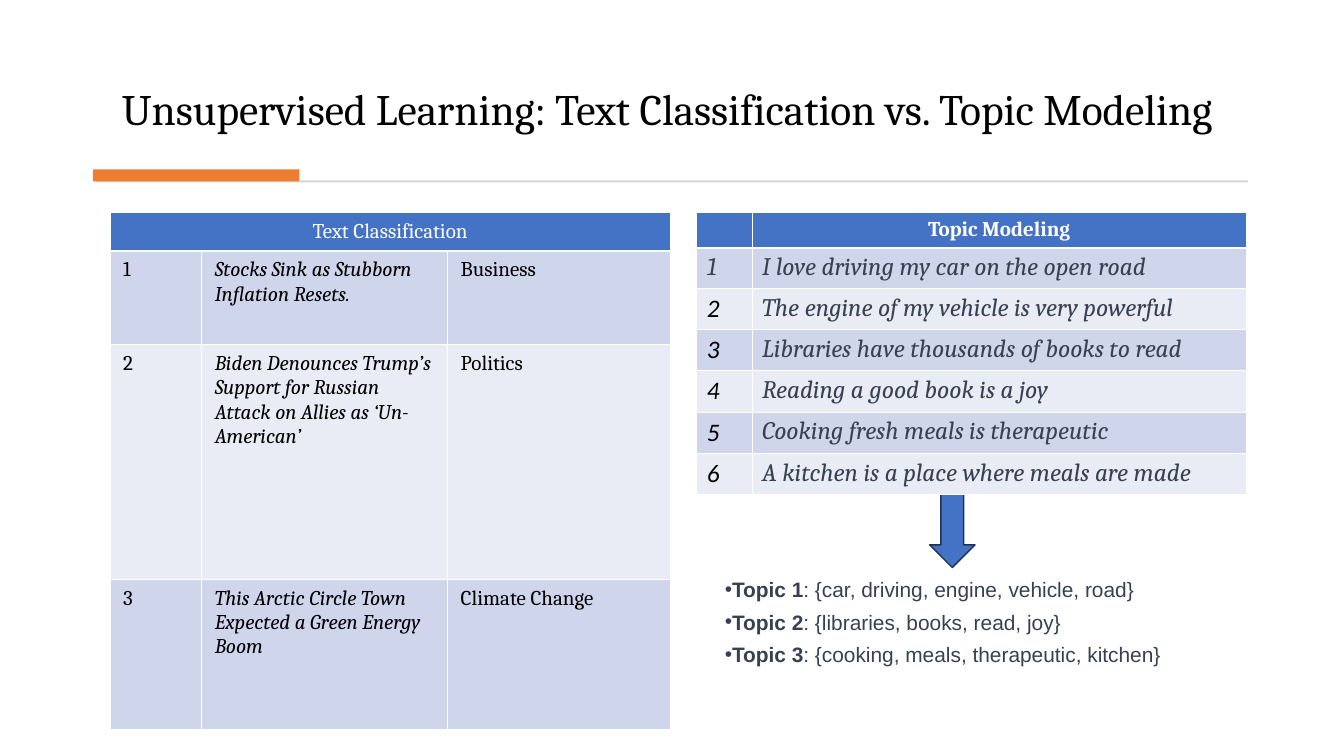
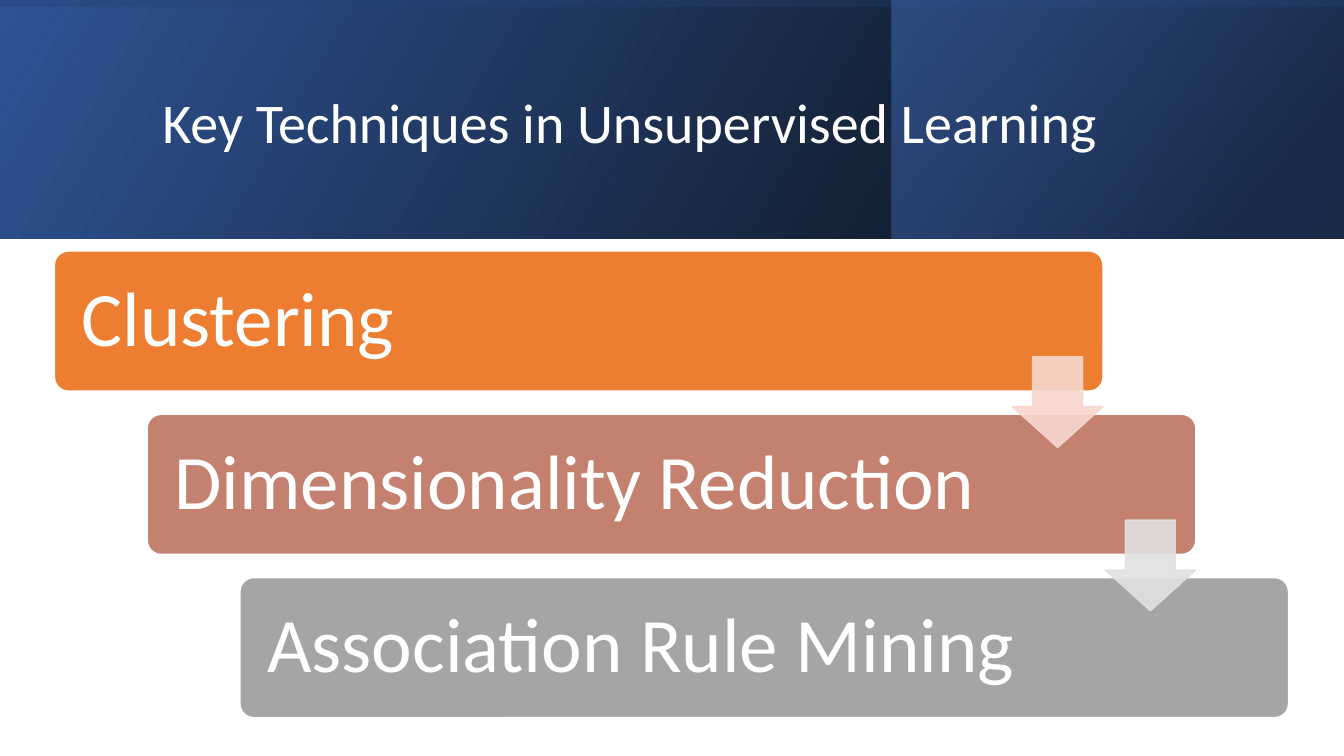
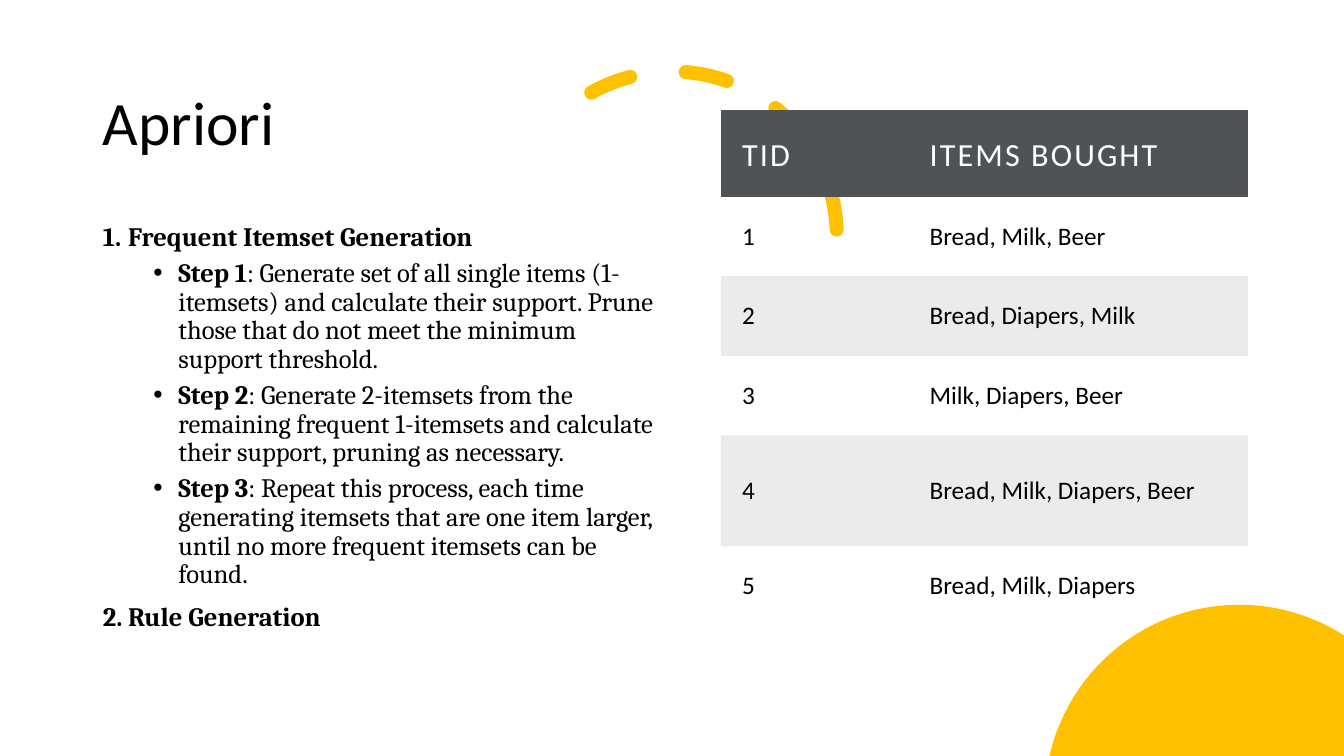
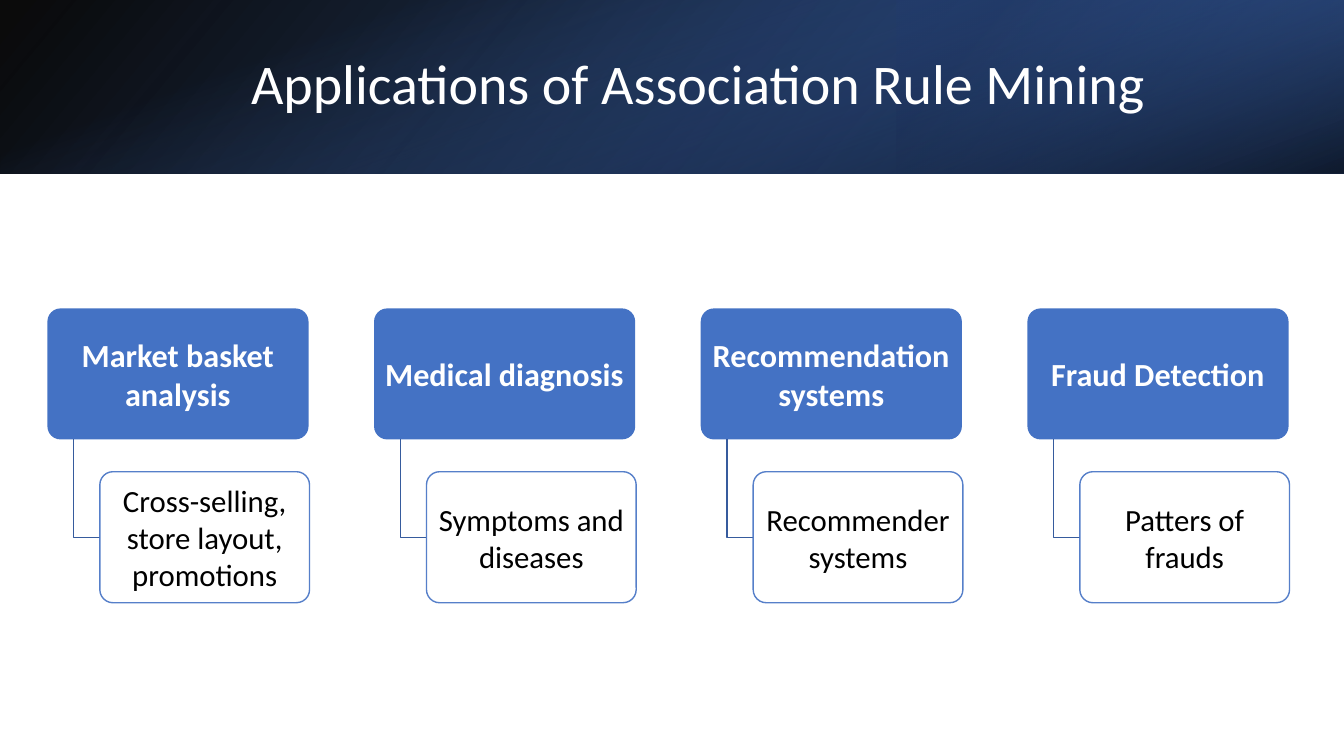
import math

import lxml.etree
import pptx
import pptx.dml.color
import pptx.enum.dml
import pptx.enum.shapes
import pptx.enum.text
import pptx.oxml.ns
import pptx.util

Inches, Pt = pptx.util.Inches, pptx.util.Pt
SHAPE = pptx.enum.shapes.MSO_SHAPE
ALIGN = pptx.enum.text.PP_ALIGN
ANCHOR = pptx.enum.text.MSO_ANCHOR
qn = pptx.oxml.ns.qn

C = {
    "black": "000000", "white": "FFFFFF", "slate": "374151", "rule": "D5D5D5",
    "blue": "4472C4", "deep": "2F5597", "navy": "203864", "edge": "1E3256",
    "elbow": "365B9D", "band1": "CFD5EA", "band2": "E9EBF5",
    "orange": "ED7D31", "clay": "C48170", "gray": "A5A5A5",
    "pink": "F8D7CE", "silver": "E1E1E1", "gold": "FFC000", "header": "505356",
}
SERIF, SANS, ARIAL = "Cambria", "Calibri", "Arial"
NO_STYLE = "{2D5ABB26-0587-4C30-8999-92F81FD0307C}"


def rgb(name):
    return pptx.dml.color.RGBColor.from_string(C[name])


def child(parent, tag, **attrs):
    return lxml.etree.SubElement(parent, qn(tag), attrs)


class Deck:
    """Holds the style, the presentation and the current slide."""

    def __init__(self):
        self.prs = pptx.Presentation()
        self.prs.slide_width, self.prs.slide_height = Inches(13.33), Inches(7.5)

    def new_slide(self, layout=5):
        self.slide = self.prs.slides.add_slide(self.prs.slide_layouts[layout])
        self.shapes = self.slide.shapes

    # Paint and text
    def paint(self, fill, color, alpha=100):
        if color is None:
            fill.background()
            return
        fill.solid()
        fill.fore_color.rgb = rgb(color)
        if alpha < 100:
            clr = fill._xPr.find(qn("a:solidFill") + "/" + qn("a:srgbClr"))
            child(clr, "a:alpha", val=str(alpha * 1000))

    def outline(self, sp, color, width=1, alpha=100):
        self.paint(sp.line.fill, color, alpha)
        if color:
            sp.line.width = Pt(width)

    def font(self, p, size, name, color, bold=None, italic=None):
        f = p.font
        f.size, f.name, f.bold, f.italic = Pt(size), name, bold, italic
        f.color.rgb = rgb(color)

    def frame(self, tf, anchor=ANCHOR.MIDDLE, inset=None):
        tf.word_wrap = True
        tf.auto_size = pptx.enum.text.MSO_AUTO_SIZE.NONE
        tf.vertical_anchor = anchor
        if inset:
            tf.margin_left = tf.margin_right = Inches(inset[0])
            tf.margin_top = tf.margin_bottom = Inches(inset[1])

    def bullet(self, p, font, char=None, left=0, hang=0):
        pPr = p._p.get_or_add_pPr()
        pPr.set("marL", str(Inches(left)))
        pPr.set("indent", str(-Inches(hang)))
        child(pPr, "a:buFont", typeface=font)
        if char:
            child(pPr, "a:buChar", char=char)
        else:
            child(pPr, "a:buAutoNum", type="arabicPeriod")

    def lead(self, p, head, rest=""):
        """A bold lead-in followed by plain text."""
        for text, bold in ((head, True), (rest, False)):
            if text:
                r = p.add_run()
                r.text, r.font.bold = text, bold

    # Placeholders
    def place(self, sp, box):
        sp.left, sp.top, sp.width, sp.height = map(Inches, box)
        self.shapes._spTree.append(sp._element)  # on top of what is drawn so far

    def title(self, text, box, size, color="black", name=SANS,
              align=ALIGN.LEFT, anchor=ANCHOR.MIDDLE):
        sp = self.shapes.title
        self.place(sp, box)
        self.frame(sp.text_frame, anchor)
        p = sp.text_frame.paragraphs[0]
        p.text, p.alignment, p.line_spacing = text, align, 0.9
        self.font(p, size, name, color)

    def outline_list(self, items, box, size):
        sp = self.slide.placeholders[1]
        self.place(sp, box)
        tf = sp.text_frame
        self.frame(tf, ANCHOR.TOP)
        for i, (level, head, rest) in enumerate(items):
            p = tf.add_paragraph() if i else tf.paragraphs[0]
            p.level, p.line_spacing = level, 0.9
            p.space_before = Pt((5 if level else 10) if i else 0)
            if level:
                self.bullet(p, ARIAL, "•", 0.75, 0.25)
            else:
                self.bullet(p, SERIF, left=0.25, hang=0.25)
            self.font(p, size, SERIF, "black")
            self.lead(p, head, rest)

    # Shapes
    def shape(self, kind, box, fill, line=None, width=1, alpha=100, adj=()):
        sp = self.shapes.add_shape(kind, *map(Inches, box))
        sp.shadow.inherit = False
        for i, value in enumerate(adj):
            sp.adjustments[i] = value
        self.paint(sp.fill, fill, alpha)
        self.outline(sp, line, width, alpha)
        return sp

    def card(self, text, box, fill, size, color="white", line=None, alpha=100,
             bold=False, align=ALIGN.CENTER, inset=(0.05, 0.03), spacing=1.0):
        sp = self.shape(SHAPE.ROUNDED_RECTANGLE, box, fill, line, 1, alpha, [0.1])
        self.frame(sp.text_frame, inset=inset)
        p = sp.text_frame.paragraphs[0]
        p.text, p.alignment, p.line_spacing = text, align, spacing
        self.font(p, size, SANS, color, bold)

    def gradient(self, box, stops, angle, rotation=0, flip=True):
        """A band with stops of (position, colour, alpha), angle clockwise."""
        sp = self.shape(SHAPE.RECTANGLE, box, None)
        sp.rotation = rotation
        if flip:
            sp._element.spPr.get_or_add_xfrm().set("flipH", "1")
        sp.fill.gradient()
        sp.fill.gradient_angle = 360 - angle
        for stop, (position, color, _) in zip(sp.fill.gradient_stops, stops):
            stop.position, stop.color.rgb = position / 100, rgb(color)
        colors = list(sp._element.spPr.iter(qn("a:srgbClr")))
        for clr, (_, _, alpha) in zip(colors, stops):
            child(clr, "a:alpha", val=str(alpha * 1000))

    def banner(self, height, right, angles, shade, right_alpha, rotations, flip):
        """Three gradients stacked across the top of the slide."""
        self.gradient((0, 0, 13.33, height),
                      [(0, "black", 96), (100, "deep", 100)], angles[0])
        self.gradient((right, 0, 13.33 - right, height),
                      [(19, "navy", 68), (100, "blue", right_alpha)], angles[1], rotations[0])
        offset = (13.33 - height) / 2
        self.gradient((offset, -offset, height, 13.33), shade, angles[2], rotations[1], flip)

    def polygon(self, points, fill=None, line=None, close=True):
        pts = [(Inches(x), Inches(y)) for x, y in points]
        fb = self.shapes.build_freeform(*pts[0])
        fb.add_line_segments(pts[1:], close=close)
        sp = fb.convert_to_shape()
        sp.shadow.inherit = False
        self.paint(sp.fill, fill)
        self.outline(sp, line)

    # Tables
    def table(self, box, cols, rows):
        tbl = self.shapes.add_table(len(rows), len(cols), *map(Inches, box)).table
        tbl._tbl.tblPr.find(qn("a:tableStyleId")).text = NO_STYLE
        tbl.first_row = tbl.horz_banding = False
        for col, width in zip(tbl.columns, cols):
            col.width = Inches(width)
        for row, height in zip(tbl.rows, rows):
            row.height = Inches(height)
        return tbl

    def cell(self, cell, text, size, fill, name=SERIF, color="black", alpha=100,
             inset=(0.1, 0.05), anchor=ANCHOR.TOP, align=ALIGN.LEFT,
             bold=False, italic=False, spacing=0):
        self.paint(cell.fill, fill, alpha)
        cell.vertical_anchor = anchor
        cell.margin_left = cell.margin_right = Inches(inset[0])
        cell.margin_top = cell.margin_bottom = Inches(inset[1] if text else 0)
        p = cell.text_frame.paragraphs[0]
        p.text, p.alignment = text, align
        self.font(p, size, name, color, bold, italic)
        if spacing:
            p.font._rPr.set("spc", str(int(spacing * 100)))

    def borders(self, cell):
        tcPr = cell._tc.get_or_add_tcPr()
        for i, side in enumerate("LRTB"):
            ln = child(tcPr, "a:ln" + side, w=str(Pt(1)))
            child(child(ln, "a:solidFill"), "a:srgbClr", val=C["white"])
            tcPr.insert(i, ln)


def text_vs_topics(d):
    d.new_slide()
    d.title("Unsupervised Learning: Text Classification vs. Topic Modeling",
            (0.87, 0.28, 11.49, 1.11), 31, name=SERIF,
            align=ALIGN.CENTER, anchor=ANCHOR.BOTTOM)
    d.shape(SHAPE.RECTANGLE, (0.95, 1.79, 11.43, 0.02), "rule")
    d.shape(SHAPE.RECTANGLE, (0.92, 1.68, 2.05, 0.12), "orange")

    # Topics found
    tf = d.shapes.add_textbox(*map(Inches, (7.09, 5.67, 5.16, 1.02))).text_frame
    d.frame(tf, ANCHOR.TOP)
    topics = ["car, driving, engine, vehicle, road", "libraries, books, read, joy",
              "cooking, meals, therapeutic, kitchen"]
    for i, words in enumerate(topics):
        p = tf.add_paragraph() if i else tf.paragraphs[0]
        p.space_after = Pt(5.5)
        d.bullet(p, ARIAL, "•")
        d.font(p, 14.9, ARIAL, "slate")
        d.lead(p, f"Topic {i + 1}", ": {" + words + "}")
    d.shape(SHAPE.DOWN_ARROW, (9.22, 4.74, 0.45, 0.89), "blue", "edge")

    # Text classification
    headlines = [
        ("Stocks Sink as Stubborn Inflation Resets.", "Business"),
        ("Biden Denounces Trump’s Support for Russian Attack on Allies as ‘Un-American’",
         "Politics"),
        ("This Arctic Circle Town Expected a Green Energy Boom", "Climate Change"),
    ]
    tbl = d.table((1.09, 2.11, 5.56, 5.12), [0.91, 2.44, 2.21], [0.37, 0.93, 2.33, 1.49])
    tbl.cell(0, 0).merge(tbl.cell(0, 2))
    inset = (0.13, 0.07)
    d.cell(tbl.cell(0, 0), "Text Classification", 15, "blue", color="white",
           inset=inset, align=ALIGN.CENTER)
    d.borders(tbl.cell(0, 0))
    for r, (headline, label) in enumerate(headlines, 1):
        for c, text in enumerate((str(r), headline, label)):
            d.cell(tbl.cell(r, c), text, 15, "band1" if r % 2 else "band2",
                   inset=inset, italic=c == 1)
            d.borders(tbl.cell(r, c))

    # Topic modeling
    sentences = [
        "I love driving my car on the open road",
        "The engine of my vehicle is very powerful",
        "Libraries have thousands of books to read",
        "Reading a good book is a joy",
        "Cooking fresh meals is therapeutic",
        "A kitchen is a place where meals are made",
    ]
    tbl = d.table((6.91, 2.11, 5.45, 2.8), [0.55, 4.9], [0.35, 0.4] + [0.41] * 5)
    for c, text in enumerate(("", "Topic Modeling")):
        d.cell(tbl.cell(0, c), text, 15, "blue", color="white",
               align=ALIGN.CENTER, bold=True)
        d.borders(tbl.cell(0, c))
    for r, sentence in enumerate(sentences, 1):
        for c, text in enumerate((str(r), sentence)):
            plain = c == 0 and r > 1
            d.cell(tbl.cell(r, c), text, 18, "band1" if r % 2 else "band2",
                   name=SANS if plain else SERIF,
                   color="black" if plain else "slate", italic=True)
            d.borders(tbl.cell(r, c))


def key_techniques(d):
    d.new_slide()
    d.banner(2.37, 8.84, (330, 320, 350), [(23, "deep", 16), (99, "black", 45)],
             48, (0, 270), True)
    d.title("Key Techniques in Unsupervised Learning", (1.51, 0.38, 10.63, 1.72), 40, "white")

    # Staircase of techniques, then the arrows between them
    dx, dy = 0.92, 1.62
    steps = [("Clustering", "orange"), ("Dimensionality Reduction", "clay"),
             ("Association Rule Mining", "gray")]
    for i, (text, fill) in enumerate(steps):
        d.card(text, (0.54 + i * dx, 2.49 + i * dy, 10.4, 1.39), fill, 55, line="white",
               align=ALIGN.LEFT, inset=(0.23, 0.23), spacing=0.9)
    for i, fill in enumerate(("pink", "silver")):
        d.shape(SHAPE.DOWN_ARROW, (10.04 + i * dx, 3.54 + i * dy, 0.9, 0.9),
                fill, fill, alpha=90, adj=(0.55, 0.45))


def apriori(d):
    d.new_slide(layout=1)

    # Corner disc, cut at the slide edges
    cx, cy, radius = 12.29, 7.93, 1.93
    start = math.pi - math.asin((cy - 7.5) / radius)
    end = math.acos((13.33 - cx) / radius)
    angles = [start + (end - start) * i / 60 for i in range(61)]
    rim = [(cx + radius * math.cos(a), cy - radius * math.sin(a)) for a in angles]
    d.polygon(rim + [(13.33, 7.5)], "gold")

    # Dashed arc
    arc = d.shape(SHAPE.ARC, (5.03, 0.71, 3.27, 3.27), None, "gold", 10, adj=(144.418, 0))
    arc.line.dash_style = pptx.enum.dml.MSO_LINE.DASH
    arc.line.fill._xPr.set("cap", "rnd")

    d.title("Apriori", (0.92, 0.52, 5.75, 1.45), 44)
    d.outline_list([
        (0, "Frequent Itemset Generation", ""),
        (1, "Step 1", ": Generate set of all single items (1-itemsets) and calculate their "
                      "support. Prune those that do not meet the minimum support threshold."),
        (1, "Step 2", ": Generate 2-itemsets from the remaining frequent 1-itemsets and "
                      "calculate their support, pruning as necessary."),
        (1, "Step 3", ": Repeat this process, each time generating itemsets that are one item "
                      "larger, until no more frequent itemsets can be found."),
        (0, "Rule Generation", ""),
    ], (0.92, 2.17, 5.75, 4.58), 19)

    # Transactions
    baskets = ["Bread, Milk, Beer", "Bread, Diapers, Milk", "Milk, Diapers, Beer",
               "Bread, Milk, Diapers, Beer", "Bread, Milk, Diapers"]
    tbl = d.table((7.15, 1.09, 5.23, 5.12), [1.86, 3.37], [0.86, 0.79, 0.79, 0.79, 1.1, 0.79])
    inset = (0.21, 0.21)
    for c, text in enumerate(("TID", "ITEMS BOUGHT")):
        d.cell(tbl.cell(0, c), text, 23, "header", SANS, "white", inset=inset,
               anchor=ANCHOR.BOTTOM, spacing=1.5)
    for r, basket in enumerate(baskets, 1):
        for c, text in enumerate((str(r), basket)):
            d.cell(tbl.cell(r, c), text, 18, None if r % 2 else "black", SANS, alpha=8,
                   inset=inset, anchor=ANCHOR.MIDDLE)


def applications(d):
    d.new_slide()
    d.banner(1.72, 8.89, (140, 320, 340), [(23, "blue", 0), (99, "black", 74)],
             79, (180, 90), False)
    d.title("Applications of Association Rule Mining", (1.43, 0.38, 10.98, 0.96), 40, "white",
            align=ALIGN.CENTER)

    # Each application with its example hanging below
    pairs = [("Market basket analysis", "Cross-selling, store layout, promotions"),
             ("Medical diagnosis", "Symptoms and diseases"),
             ("Recommendation systems", "Recommender systems"),
             ("Fraud Detection", "Patters of frauds")]
    for i, (field, example) in enumerate(pairs):
        x = 0.47 + i * 3.24
        d.card(field, (x, 3.06, 2.59, 1.3), "blue", 23, bold=True)
        d.polygon([(x + 0.26, 4.36), (x + 0.26, 5.33), (x + 0.52, 5.33)],
                  line="elbow", close=False)
        d.card(example, (x + 0.52, 4.68, 2.08, 1.3), "white", 22, "black",
               line="blue", alpha=90)


def main():
    d = Deck()
    for build in (text_vs_topics, key_techniques, apriori, applications):
        build(d)
    d.prs.save("out.pptx")


if __name__ == "__main__":
    main()
